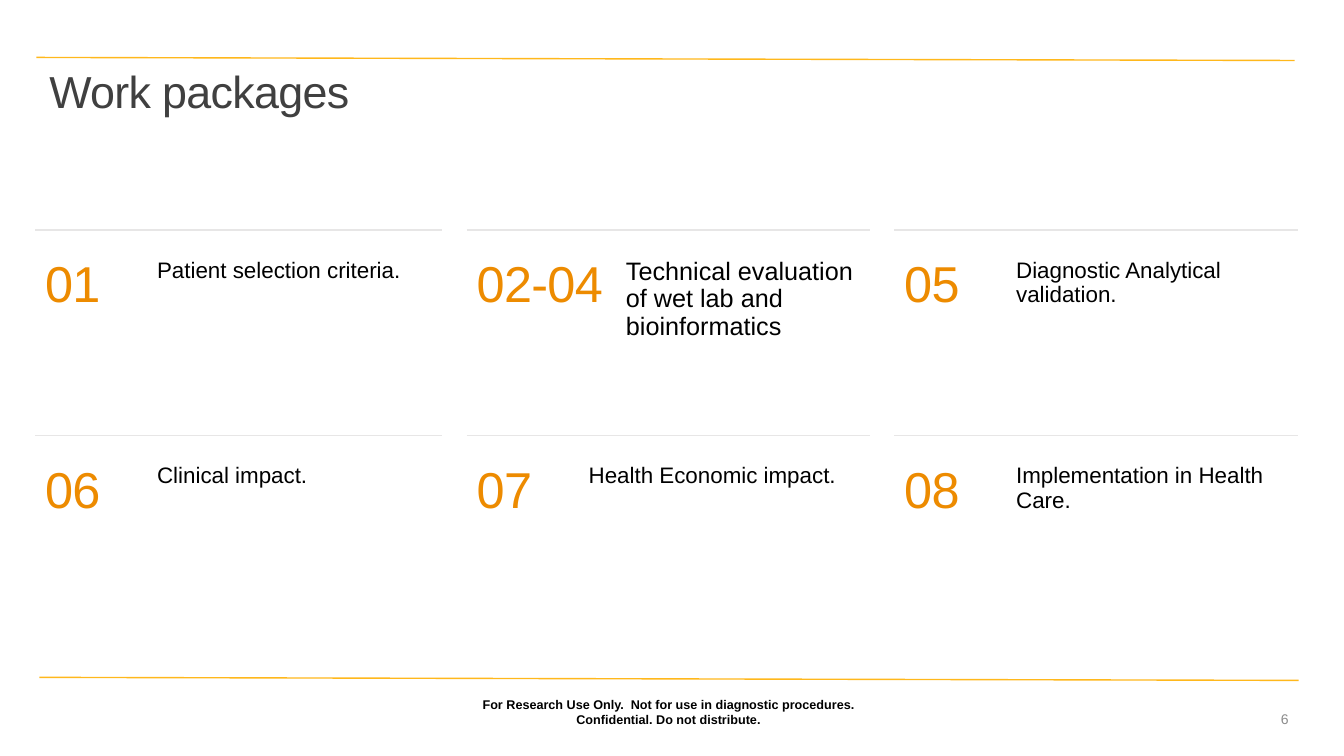
import pptx
import pptx.util
import pptx.dml.color
import pptx.enum.shapes
import pptx.enum.text
import pptx.oxml.ns
import lxml.etree

SLIDE_W, SLIDE_H = 13.33, 7.5
FONT = "Arial"
GOLD, ORANGE, GREY = "FFB81C", "ED8B00", "E7E6E6"
BLACK, CHARCOAL, PAGE_GREY = "000000", "404040", "8C8C8C"
ANCHOR = pptx.enum.text.MSO_ANCHOR
ALIGN = pptx.enum.text.PP_ALIGN

COLUMNS = [(0.35, 4.03), (4.63, 4.0), (8.87, 4.0)]
GRID_TOP, ROW_PITCH = 2.28, 2.04
TEXT_DROP, TEXT_HEIGHT = 0.24, 0.89
NUMBER_WIDTH, TASK_OFFSET = 0.86, 1.11
WIDE_NUMBER_WIDTH, WIDE_TASK_OFFSET, WIDE_TASK_HEIGHT = 1.8, 1.48, 1.36

PACKAGES = [
    ("01", "Patient selection criteria."),
    ("02-04", "Technical evaluation of wet lab and bioinformatics"),
    ("05", "Diagnostic Analytical validation."),
    ("06", "Clinical impact."),
    ("07", "Health Economic impact."),
    ("08", "Implementation in Health Care."),
]


def color(hex_string):
    return pptx.dml.color.RGBColor.from_string(hex_string)


def inches(*lengths):
    return [pptx.util.Inches(length) for length in lengths]


def write(shape, text, size, hex_color, bold=False, align=ALIGN.LEFT,
          anchor=ANCHOR.TOP, tracking=0, line_spacing=None, space_before=0):
    frame = shape.text_frame
    frame.text = text
    frame.word_wrap = True
    frame.auto_size = pptx.enum.text.MSO_AUTO_SIZE.NONE
    frame.vertical_anchor = anchor
    paragraph = frame.paragraphs[0]
    paragraph.alignment = align
    paragraph.line_spacing = line_spacing
    paragraph.space_before = pptx.util.Pt(space_before)
    run = paragraph.runs[0]
    run.font.name = FONT
    run.font.size = pptx.util.Pt(size)
    run.font.bold = bold
    run.font.color.rgb = color(hex_color)
    if tracking:
        run._r.get_or_add_rPr().set("spc", str(int(tracking * 100)))


def add_text(slide, box, text, size, hex_color, **style):
    write(slide.shapes.add_textbox(*inches(*box)), text, size, hex_color, **style)


def add_rule(slide, start, end, hex_color):
    rule = slide.shapes.add_connector(
        pptx.enum.shapes.MSO_CONNECTOR.STRAIGHT, *inches(*start, *end))
    rule.line.color.rgb = color(hex_color)
    rule.line.width = pptx.util.Pt(1)
    lxml.etree.SubElement(rule._element.spPr, pptx.oxml.ns.qn("a:effectLst"))


def add_header(slide, left, top, width, height):
    add_rule(slide, (left - 0.03, top - 0.07), (left + width - 0.04, top - 0.04), GOLD)
    title = slide.shapes.title
    title.left, title.top, title.width, title.height = inches(left, top, width, height)
    write(title, "Work packages", 32, CHARCOAL, tracking=-0.5, line_spacing=0.9)


def add_package(slide, left, top, width, number, task):
    wide = len(number) > 2
    number_width = WIDE_NUMBER_WIDTH if wide else NUMBER_WIDTH
    offset = WIDE_TASK_OFFSET if wide else TASK_OFFSET
    task_height = WIDE_TASK_HEIGHT if wide else TEXT_HEIGHT
    text_top = top + TEXT_DROP
    add_rule(slide, (left, top), (left + width, top), GREY)
    add_text(slide, (left, text_top, number_width, TEXT_HEIGHT), number, 36, ORANGE,
             tracking=-0.5, line_spacing=0.9, space_before=10)
    add_text(slide, (left + offset, text_top, width - offset, task_height), task,
             18 if wide else 16, BLACK, line_spacing=0.9, space_before=10)


def add_package_grid(slide):
    for index, (number, task) in enumerate(PACKAGES):
        row, column = divmod(index, len(COLUMNS))
        left, width = COLUMNS[column]
        add_package(slide, left, GRID_TOP + row * ROW_PITCH, width, number, task)


def add_footer(slide, left, top, width):
    right = left + width
    add_rule(slide, (left, top), (right, top + 0.03), GOLD)
    add_text(slide, (4.38, top + 0.14, 4.5, 0.4),
             "For Research Use Only.  Not for use in diagnostic procedures. "
             "Confidential. Do not distribute.",
             9, BLACK, bold=True, align=ALIGN.CENTER, anchor=ANCHOR.BOTTOM)
    add_text(slide, (right - 3, top + 0.28, 3, 0.27), "6", 10, PAGE_GREY,
             align=ALIGN.RIGHT, anchor=ANCHOR.MIDDLE)


def main():
    deck = pptx.Presentation()
    deck.slide_width, deck.slide_height = inches(SLIDE_W, SLIDE_H)
    slide = deck.slides.add_slide(deck.slide_layouts.get_by_name("Title Only"))
    add_header(slide, 0.39, 0.64, 12.49, 1.2)
    add_package_grid(slide)
    add_footer(slide, 0.39, 6.72, 12.49)
    deck.save("out.pptx")


if __name__ == "__main__":
    main()
